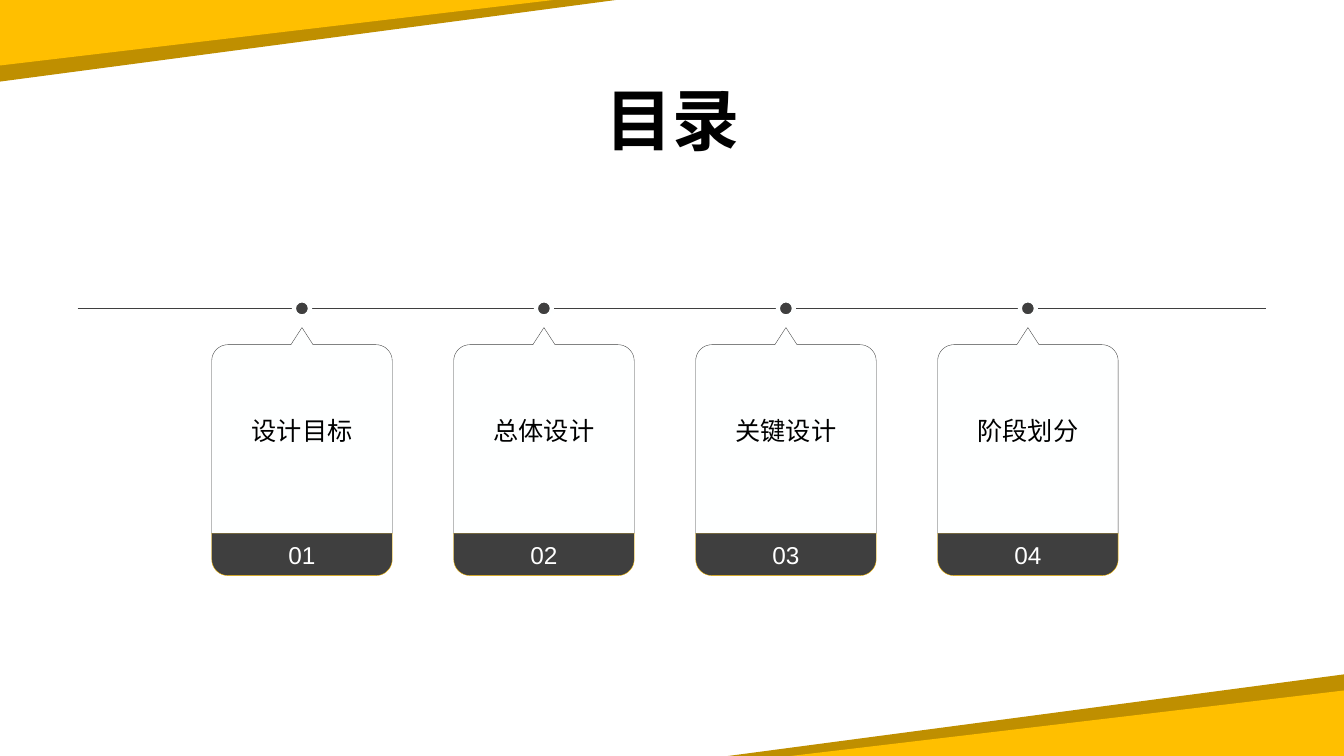
from math import cos, radians, sin

from lxml.etree import SubElement
from pptx import Presentation
from pptx.dml.color import RGBColor
from pptx.enum.shapes import MSO_CONNECTOR, MSO_SHAPE
from pptx.enum.text import MSO_ANCHOR, MSO_AUTO_SIZE, PP_ALIGN
from pptx.oxml.ns import qn
from pptx.util import Inches, Pt

WIDTH, HEIGHT = 13.33, 7.5
GOLD, OCHRE, CHARCOAL = "FFBF00", "BF8F00", "3F3F3F"
PAPER, WHITE, BLACK = "FEFFFF", "FFFFFF", "000000"
TOPICS = ["设计目标", "总体设计", "关键设计", "阶段划分"]

# Card grid
CARD_LEFT, CARD_PITCH, CARD_TOP = 2.1, 2.4, 3.25
CARD_WIDTH, CARD_HEIGHT, FOOTER_HEIGHT = 1.79, 2.46, 0.42
POINTER_HEIGHT, POINTER_HALF, RADIUS = 0.17, 0.11, 0.16
AXIS_Y, DOT_SIZE = 3.06, 0.16


def color(hex_string):
    return RGBColor.from_string(hex_string)


def paint(shape, fill, line=None, line_width=0.25):
    shape.shadow.inherit = False
    shape.fill.solid()
    shape.fill.fore_color.rgb = color(fill)
    if line:
        shape.line.color.rgb = color(line)
        shape.line.width = Pt(line_width)
    else:
        shape.line.fill.background()


def write(shape, text, size, font_color, bold=False):
    frame = shape.text_frame
    frame.text = text
    frame.word_wrap = True
    frame.vertical_anchor = MSO_ANCHOR.MIDDLE
    paragraph = frame.paragraphs[0]
    paragraph.alignment = PP_ALIGN.CENTER
    font = paragraph.runs[0].font
    font.name, font.size, font.bold = "Arial", Pt(size), bold
    font.color.rgb = color(font_color)
    return paragraph


def rounded_corner(center_x, center_y, start):
    """Points of a clockwise quarter turn from the start angle in degrees."""
    angles = [radians(start + step * 10) for step in range(10)]
    return [(center_x + RADIUS * cos(a), center_y + RADIUS * sin(a)) for a in angles]


def add_outline(slide, points):
    corners = [(Inches(x), Inches(y)) for x, y in points]
    builder = slide.shapes.build_freeform(*corners[0])
    builder.add_line_segments(corners[1:], close=True)
    return builder.convert_to_shape()


def add_corner_band(slide, at_bottom):
    # The dark wedge shows as a rim behind the bright one
    for width, height, fill in [(6.11, 0.81, OCHRE), (5.49, 0.65, GOLD)]:
        left, top = (WIDTH - width, HEIGHT - height) if at_bottom else (0, 0)
        wedge = slide.shapes.add_shape(
            MSO_SHAPE.RIGHT_TRIANGLE, Inches(left), Inches(top), Inches(width), Inches(height))
        wedge.element.spPr.find(qn("a:xfrm")).set("flipH" if at_bottom else "flipV", "1")
        paint(wedge, fill)


def add_title(slide, left, top, width, height):
    title = slide.shapes.title
    title.left, title.top = Inches(left), Inches(top)
    title.width, title.height = Inches(width), Inches(height)
    write(title, "目录", 48, BLACK, bold=True).line_spacing = 0.9
    title.text_frame.auto_size = MSO_AUTO_SIZE.NONE


def add_axis(slide, left, right, y):
    axis = slide.shapes.add_connector(
        MSO_CONNECTOR.STRAIGHT, Inches(left), Inches(y), Inches(right), Inches(y))
    axis.line.color.rgb = color(CHARCOAL)
    axis.line.width = Pt(0.5)
    SubElement(axis.element.spPr, qn("a:effectLst"))


def add_topic(slide, number, topic, left, top, width, height):
    right, bottom, middle = left + width, top + height, left + width / 2
    shoulder, seam = top + POINTER_HEIGHT, bottom - FOOTER_HEIGHT

    # Numbered footer
    footer = add_outline(slide, [
        (left, seam), (right, seam),
        *rounded_corner(right - RADIUS, bottom - RADIUS, 0),
        *rounded_corner(left + RADIUS, bottom - RADIUS, 90)])
    paint(footer, CHARCOAL, GOLD)
    write(footer, f"{number:02}", 17.4, WHITE)

    # Card with a pointer towards the axis
    card = add_outline(slide, [
        (middle, top), (middle + POINTER_HALF, shoulder),
        *rounded_corner(right - RADIUS, shoulder + RADIUS, 270),
        (right, seam), (left, seam),
        *rounded_corner(left + RADIUS, shoulder + RADIUS, 180),
        (middle - POINTER_HALF, shoulder)])
    paint(card, PAPER, CHARCOAL)
    write(card, topic, 18, BLACK)

    # Dot on the axis
    dot = slide.shapes.add_shape(
        MSO_SHAPE.OVAL, Inches(middle - DOT_SIZE / 2), Inches(AXIS_Y - DOT_SIZE / 2),
        Inches(DOT_SIZE), Inches(DOT_SIZE))
    paint(dot, CHARCOAL, PAPER, 3)


def main():
    deck = Presentation()
    deck.slide_width, deck.slide_height = Inches(WIDTH), Inches(HEIGHT)
    slide = deck.slides.add_slide(deck.slide_layouts[5])

    add_corner_band(slide, at_bottom=True)
    add_corner_band(slide, at_bottom=False)
    add_title(slide, 0.92, 0.67, 11.5, 1.11)
    add_axis(slide, 0.77, 12.56, AXIS_Y)
    for index, topic in enumerate(TOPICS):
        add_topic(slide, index + 1, topic, CARD_LEFT + index * CARD_PITCH, CARD_TOP,
                  CARD_WIDTH, CARD_HEIGHT)
    deck.save("out.pptx")


if __name__ == "__main__":
    main()
